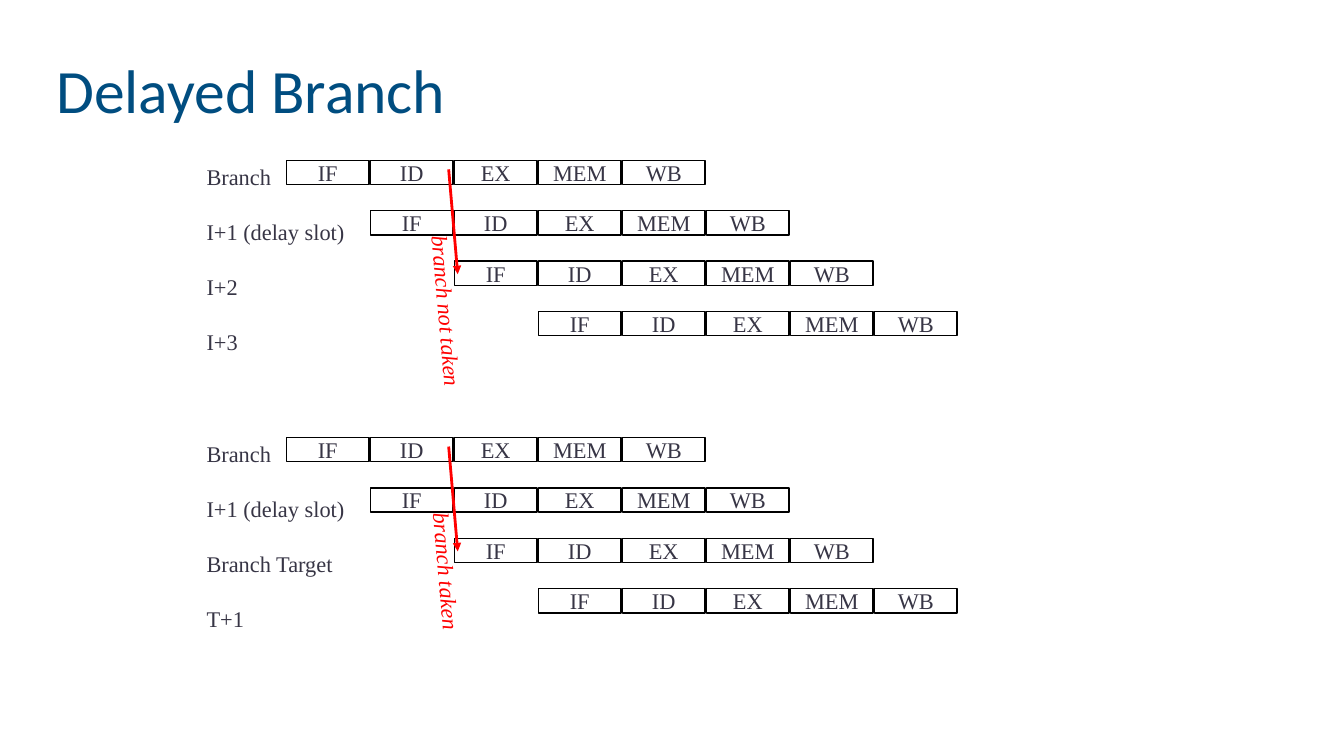
from lxml import etree
from pptx import Presentation
from pptx.dml.color import RGBColor
from pptx.enum import shapes, text
from pptx.oxml import ns
from pptx.util import Inches, Pt

TITLE_BLUE = RGBColor(0x00, 0x4D, 0x80)
INK = RGBColor(0x37, 0x35, 0x45)
BLACK = RGBColor(0x00, 0x00, 0x00)
RED = RGBColor(0xFF, 0x00, 0x00)
SERIF = "Times New Roman"
STAGES = ["IF", "ID", "EX", "MEM", "WB"]
STAGE_PITCH = 2.5 / 3
ROW_PITCH = 0.5
DIAGRAMS = [
    (1.57, ["Branch", "I+1 (delay slot)", "I+2", "I+3"], "branch not taken", 1.72, 1.34),
    (4.32, ["Branch", "I+1 (delay slot)", "Branch Target", "T+1"], "branch taken", 1.38, 1.17),
]


def add_run(paragraph, content, size=16, name=SERIF, color=INK, italic=False):
    run = paragraph.add_run()
    run.text = content
    run.font.size = Pt(size)
    run.font.name = name
    run.font.color.rgb = color
    run.font.italic = italic


def add_text_frame(slide, left, top, width, height, wrap=False):
    box = slide.shapes.add_textbox(Inches(left), Inches(top), Inches(width), Inches(height))
    box.text_frame.word_wrap = wrap
    return box, box.text_frame


def add_title(slide, left, top, width, height):
    _, frame = add_text_frame(slide, left, top, width, height, wrap=True)
    frame.vertical_anchor = text.MSO_ANCHOR.MIDDLE
    paragraph = frame.paragraphs[0]
    paragraph.line_spacing = 0.9
    add_run(paragraph, "Delayed Branch", 44, "Calibri", TITLE_BLUE)


def add_row_labels(slide, left, top, labels):
    _, frame = add_text_frame(slide, left, top, 1.59, 1.98)
    frame.auto_size = text.MSO_AUTO_SIZE.SHAPE_TO_FIT_TEXT
    for index, label in enumerate(labels):
        paragraph = frame.add_paragraph() if index else frame.paragraphs[0]
        if index:
            paragraph.space_before = Pt(20)
        add_run(paragraph, label)


def add_stage(slide, left, top, name):
    stage = slide.shapes.add_shape(
        shapes.MSO_SHAPE.RECTANGLE, Inches(left), Inches(top), Inches(0.82), Inches(0.24))
    stage.shadow.inherit = False
    stage.fill.background()
    stage.line.color.rgb = BLACK
    stage.line.width = Pt(1)
    frame = stage.text_frame
    frame.word_wrap = False
    frame.vertical_anchor = text.MSO_ANCHOR.MIDDLE
    paragraph = frame.paragraphs[0]
    paragraph.alignment = text.PP_ALIGN.CENTER
    add_run(paragraph, name)


def add_branch_arrow(slide, left, top):
    arrow = slide.shapes.add_connector(
        shapes.MSO_CONNECTOR.STRAIGHT,
        Inches(left), Inches(top), Inches(left + 0.09), Inches(top + 1.04))
    arrow.line.color.rgb = RED
    arrow.line.width = Pt(2)
    etree.SubElement(arrow.line._get_or_add_ln(), ns.qn("a:tailEnd"), type="triangle")
    etree.SubElement(arrow._element.spPr, ns.qn("a:effectLst"))


def add_branch_note(slide, left, top, width, note):
    box, frame = add_text_frame(slide, left, top, width, 0.37)
    frame.auto_size = text.MSO_AUTO_SIZE.SHAPE_TO_FIT_TEXT
    box.rotation = 85
    add_run(frame.paragraphs[0], note, color=RED, italic=True)


def add_pipeline(slide, left, top, labels, note, note_width, note_offset):
    add_row_labels(slide, left, top, labels)
    for row in range(len(labels)):
        for column, name in enumerate(STAGES, start=row):
            add_stage(slide, left + 0.89 + column * STAGE_PITCH,
                      top + 0.02 + row * ROW_PITCH, name)
    add_branch_arrow(slide, left + 2.5, top + 0.11)
    add_branch_note(slide, left + 2.48 - note_width / 2, top + note_offset, note_width, note)


def main():
    presentation = Presentation()
    presentation.slide_width = Inches(13.33)
    presentation.slide_height = Inches(7.5)
    slide = presentation.slides.add_slide(presentation.slide_layouts[6])
    add_title(slide, 0.46, 0.2, 12.63, 1.45)
    for top, labels, note, note_width, note_offset in DIAGRAMS:
        add_pipeline(slide, 1.95, top, labels, note, note_width, note_offset)
    presentation.save("out.pptx")


if __name__ == "__main__":
    main()
